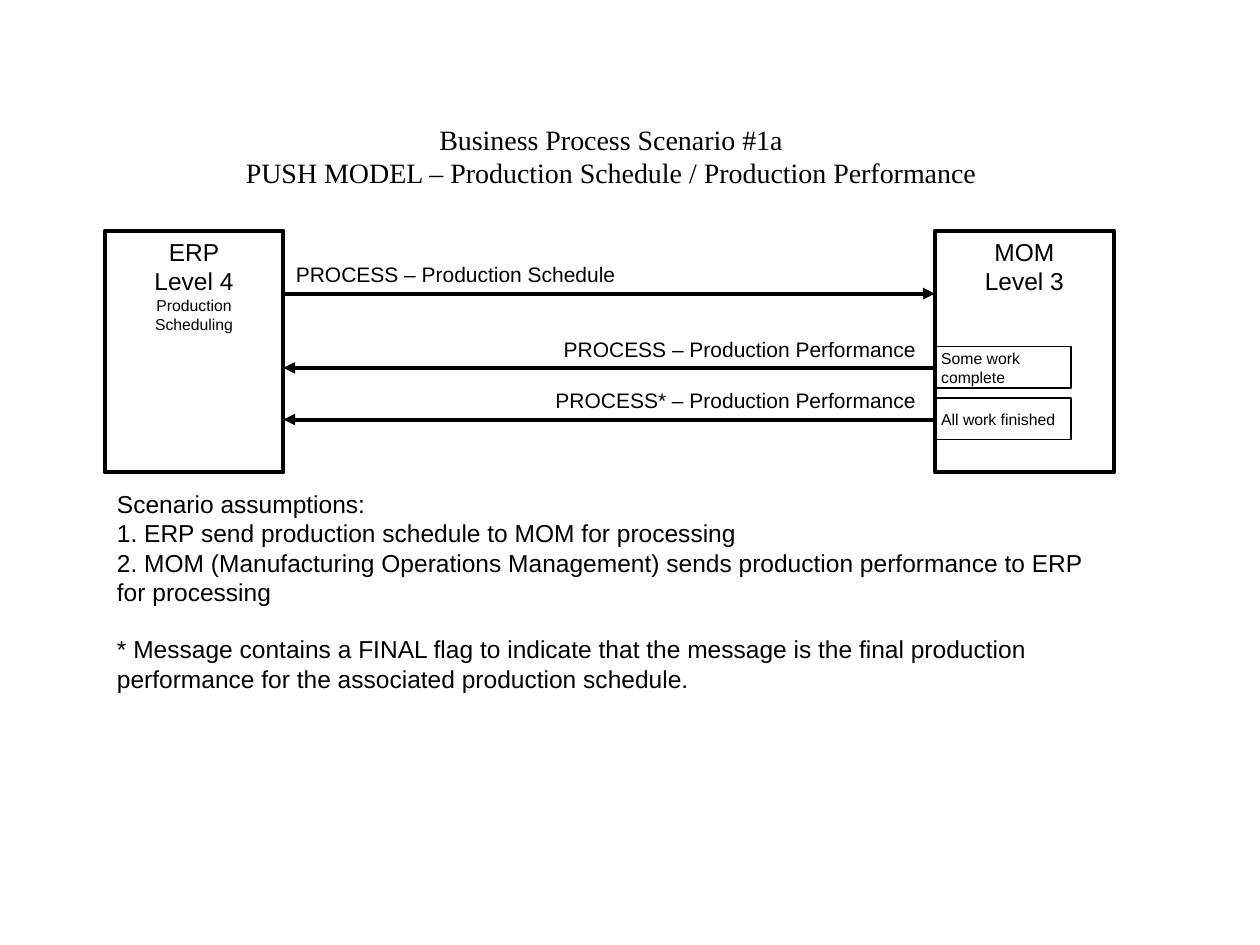
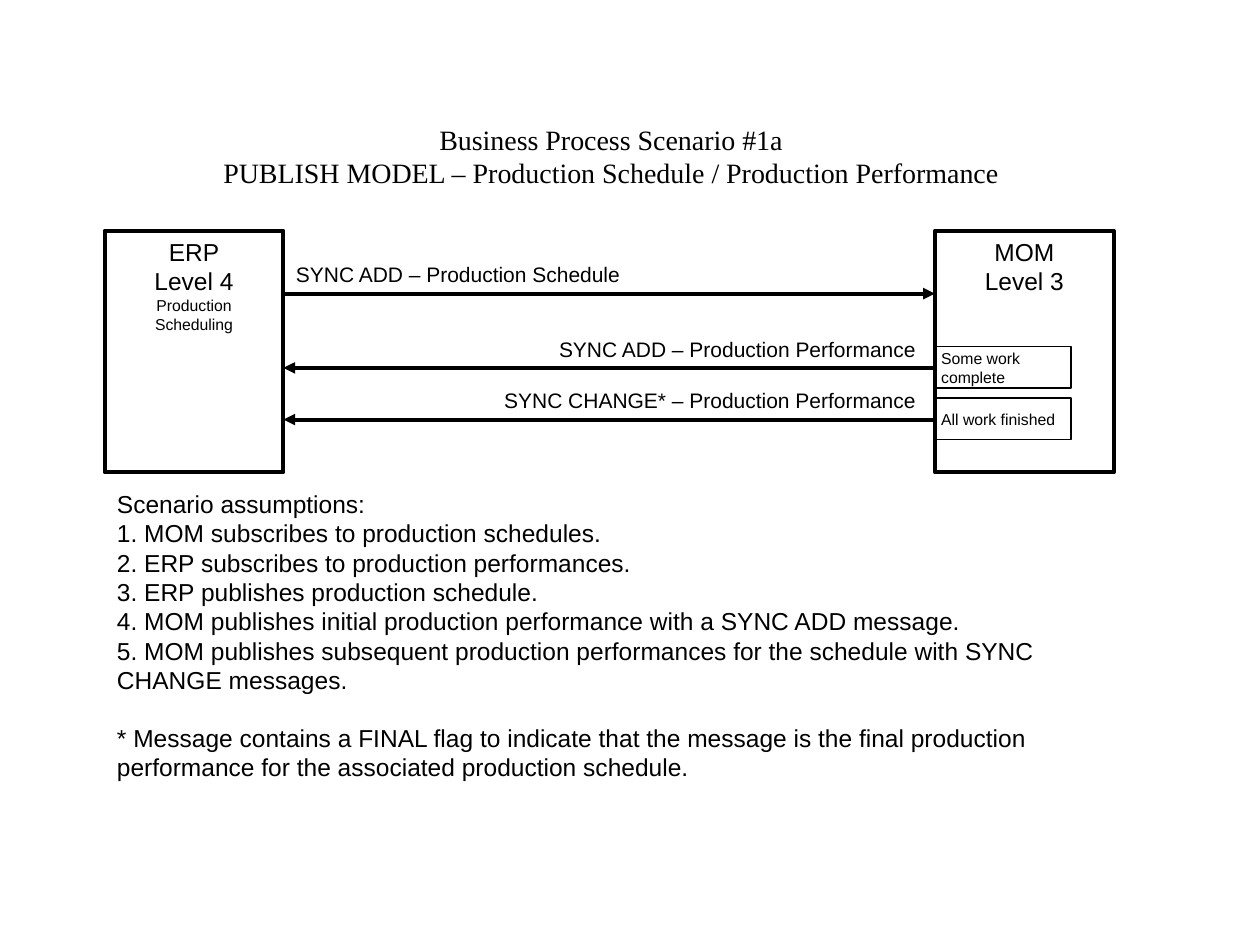
from dataclasses import dataclass
from lxml.etree import SubElement as Sub
from pptx import Presentation
from pptx.dml.color import RGBColor
from pptx.enum.shapes import MSO_CONNECTOR as Conn, MSO_SHAPE as Shape
from pptx.enum.text import MSO_ANCHOR as Anchor, MSO_AUTO_SIZE as Auto, PP_ALIGN as Align
from pptx.oxml.ns import qn
from pptx.util import Inches, Pt


@dataclass(frozen=True)
class Theme:
    ink: RGBColor = RGBColor(0, 0, 0)
    sans: str = "Arial"
    serif: str = "Times New Roman"
    title: int = 16
    body: int = 14
    label: int = 12
    small: int = 9
    thick: float = 2.25
    thin: float = 0.75


THEME = Theme()
TOP, TALL = 1.83, 1.92
ERP, MOM, WIDE = 0.83, 7.42, 1.42
ROWS = (0.5, 1.09, 1.5)
TASKS = (["Some work", "complete"], ["All work finished"])
NOTE = ("* Message contains a FINAL flag to indicate that the message is the "
        "final production performance for the associated production schedule.")


def write(frame, lines, sizes, align=Align.LEFT, font=THEME.sans, pad=0.1):
    frame.margin_left = frame.margin_right = Inches(pad)
    frame.margin_top = frame.margin_bottom = Inches(0.05)
    frame.text = "\n".join(lines)
    for para, size in zip(frame.paragraphs, sizes):
        para.alignment = align
        para.font.name = font
        para.font.size = Pt(size)
        para.font.color.rgb = THEME.ink


def add_text(slide, box, lines, size, align=Align.LEFT, font=THEME.sans, wrap=False):
    frame = slide.shapes.add_textbox(*map(Inches, box)).text_frame
    frame.word_wrap = wrap
    frame.auto_size = Auto.NONE if wrap else Auto.SHAPE_TO_FIT_TEXT
    write(frame, lines, [size] * len(lines), align, font)
    return frame


def add_rect(slide, box, weight):
    rect = slide.shapes.add_shape(Shape.RECTANGLE, *map(Inches, box))
    rect.shadow.inherit = False
    rect.fill.background()
    rect.line.color.rgb = THEME.ink
    rect.line.width = Pt(weight)
    rect.text_frame.word_wrap = True
    return rect.text_frame


def add_title(slide, model, wide):
    lines = ["Business Process Scenario #1a",
             f"{model} MODEL – Production Schedule / Production Performance"]
    box = (4.85 - wide / 2, 0.92, wide, 0.64)
    add_text(slide, box, lines, THEME.title, Align.CENTER, THEME.serif)


def add_system(slide, left, lines, sizes):
    frame = add_rect(slide, (left, TOP, WIDE, TALL), THEME.thick)
    frame.vertical_anchor = Anchor.TOP
    write(frame, lines, sizes, Align.CENTER)


def add_task(slide, row, lines):
    frame = add_rect(slide, (MOM, TOP + row - 0.17, 1.08, 0.33), THEME.thin)
    frame.vertical_anchor = Anchor.MIDDLE
    write(frame, lines, [THEME.small] * len(lines), pad=0.05)


def add_arrow(slide, start, end, y):
    points = map(Inches, (start, y, end, y))
    arrow = slide.shapes.add_connector(Conn.STRAIGHT, *points)
    arrow.line.color.rgb = THEME.ink
    arrow.line.width = Pt(THEME.thick)
    props = arrow.element.spPr
    Sub(props.find(qn("a:ln")), qn("a:tailEnd"), type="triangle")
    Sub(props, qn("a:effectLst"))


def add_message(slide, row, text, wide, back):
    near, y = ERP + WIDE, TOP + row
    start, end = (MOM, near) if back else (near, MOM)
    add_arrow(slide, start, end, y)
    left = MOM - 0.05 - wide if back else near
    align = Align.RIGHT if back else Align.LEFT
    add_text(slide, (left, y - 0.3, wide, 0.3), [text], THEME.label, align)


def add_notes(slide, points):
    lines = ["Scenario assumptions:"]
    lines += [f"{num}. {point}" for num, point in enumerate(points, 1)]
    box = (ERP, TOP + 2, 8, 1.75)
    frame = add_text(slide, box, lines + [NOTE], THEME.body, wrap=True)
    frame.paragraphs[-1].space_before = Pt(16)


def add_scene(deck, model, wide, calls, points):
    slide = deck.slides.add_slide(deck.slide_layouts[6])
    add_title(slide, model, wide)
    body, small = THEME.body, THEME.small
    add_system(slide, ERP, ["ERP", "Level 4", "Production Scheduling"], [body, body, small])
    add_system(slide, MOM, ["MOM", "Level 3"], [body, body])
    for index, (row, (verb, size)) in enumerate(zip(ROWS, calls)):
        topic = "Performance" if index else "Schedule"
        add_message(slide, row, f"{verb} – Production {topic}", size, index > 0)
    for row, lines in zip(ROWS[1:], TASKS):
        add_task(slide, row, lines)
    add_notes(slide, points)


def main():
    deck = Presentation()
    deck.slide_width, deck.slide_height = Inches(10), Inches(7.5)
    add_scene(deck, "PUSH", 6,
              [("PROCESS", 2.74), ("PROCESS", 3), ("PROCESS*", 3.06)],
              ["ERP send production schedule to MOM for processing",
               "MOM (Manufacturing Operations Management) sends production "
               "performance to ERP for processing"])
    add_scene(deck, "PUBLISH", 6.36,
              [("SYNC ADD", 2.78), ("SYNC ADD", 3.04), ("SYNC CHANGE*", 3.47)],
              ["MOM subscribes to production schedules.",
               "ERP subscribes to production performances.",
               "ERP publishes production schedule.",
               "MOM publishes initial production performance with a SYNC ADD message.",
               "MOM publishes subsequent production performances for the schedule "
               "with SYNC CHANGE messages."])
    deck.save("out.pptx")


if __name__ == "__main__":
    main()
